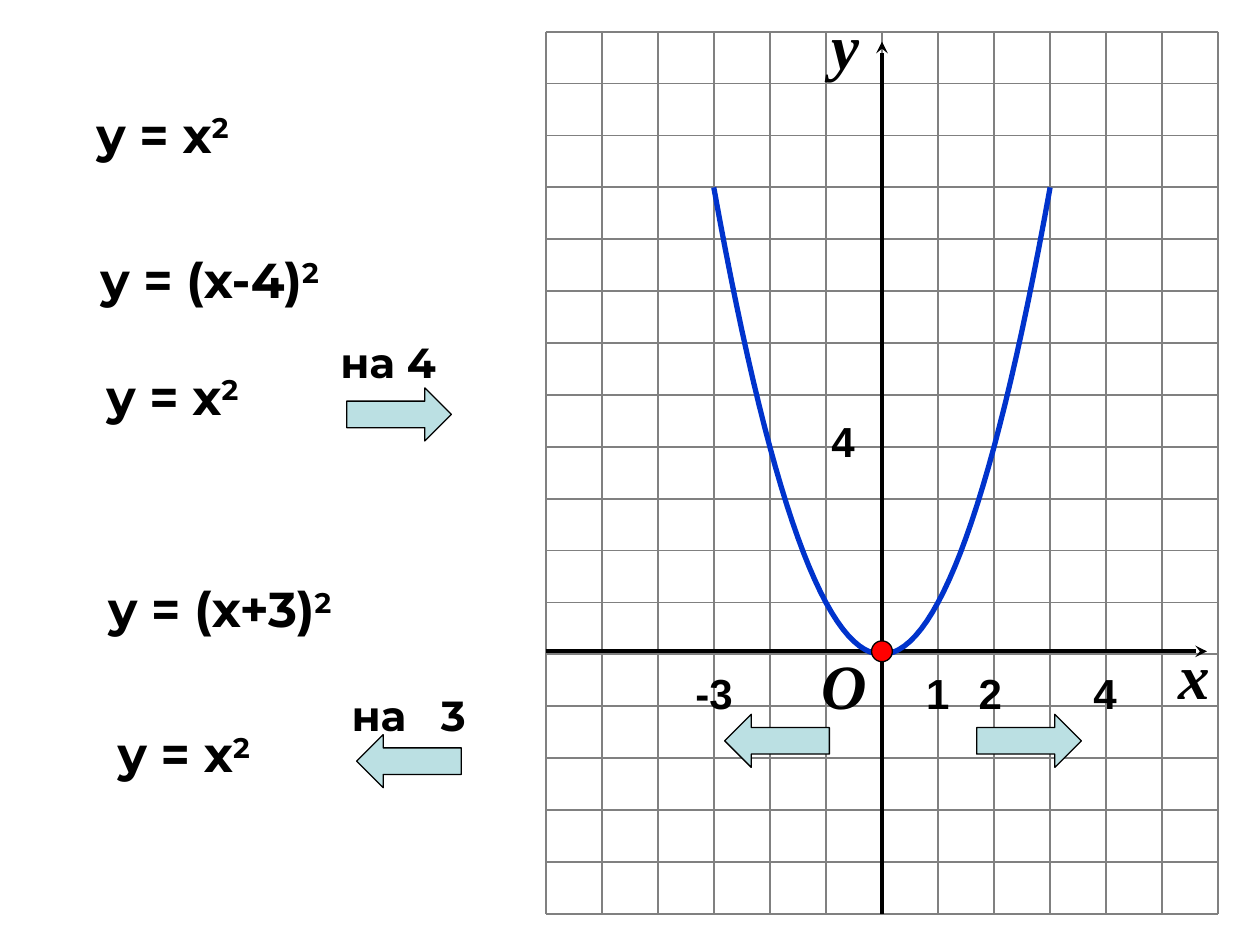
from lxml import etree
from pptx import Presentation
from pptx.dml.color import RGBColor
from pptx.enum import shapes, text
from pptx.oxml import ns
from pptx.util import Cm, Pt

COLORS = {"grid": "808080", "ink": "000000", "curve": "0033CC",
          "vertex": "FF0000", "arrow": "BBE0E3"}

TITLE = ("y = x", (1.27, 1.91, 4.01, 1.57))
FORMULAS = [
    ("y = (x-4)", (1.47, 4.88, 5.51, 1.47)),
    ("y = (x+3)", (1.47, 11.63, 5.92, 1.27)),
    ("y = x", (1.47, 7.19, 4.01, 1.57)),
    ("y = x", (1.7, 14.4, 4.01, 1.57)),
]
SHIFTS = [
    ("на", "4", 0, (5.92, 6.55, 3.81, 1.47)),
    ("на", "3", 13, (6.55, 13.77, 3.38, 1.27)),
]
AXIS_NAMES = [
    ("y", (16.51, 0, 1.07, 1.78)),
    ("x", (23.5, 12.7, 1.14, 1.78)),
    ("O", (16.31, 12.9, 1.42, 1.78)),
]
NUMBERS = [
    ("1", (18.42, 13.34, 0.99, 1.27)),
    ("2", (19.48, 13.34, 0.99, 1.27)),
    ("4", (16.51, 8.26, 0.99, 1.27)),
    ("4", (21.79, 13.34, 0.99, 1.27)),
    ("-3", (13.77, 13.34, 1.27, 1.27)),
]
RIGHT, LEFT = shapes.MSO_SHAPE.RIGHT_ARROW, shapes.MSO_SHAPE.LEFT_ARROW
ARROWS = [(RIGHT, 19.69, 14.4), (LEFT, 14.61, 14.4),
          (RIGHT, 6.99, 7.82), (LEFT, 7.19, 14.81)]
ARROW_SIZE = (2.11, 1.07)

GRID_LEFT, GRID_TOP, GRID_RIGHT, GRID_BOTTOM = 11, 0.64, 24.56, 18.42
COLS, ROWS = 12, 17
CELL_W = (GRID_RIGHT - GRID_LEFT) / COLS
CELL_H = (GRID_BOTTOM - GRID_TOP) / ROWS
ORIGIN_X = GRID_LEFT + 6 * CELL_W
ORIGIN_Y = GRID_TOP + 12 * CELL_H
AXIS_Y = 13.13
VERTEX_D = 0.42
CURVE_REACH, CURVE_STEPS = 3, 60


def color(name):
    return RGBColor.from_string(COLORS[name])


def cm(values):
    return [Cm(v) for v in values]


def add_line(s, start, end, ink, width, arrow=False):
    c = s.shapes.add_connector(shapes.MSO_CONNECTOR.STRAIGHT, *cm(start + end))
    c.line.color.rgb = color(ink)
    c.line.width = Pt(width)
    if arrow:
        etree.SubElement(c.line._get_or_add_ln(), ns.qn("a:tailEnd"), type="stealth")
    etree.SubElement(c._element.spPr, ns.qn("a:effectLst"))


def add_run(p, words, size, font, italic=False):
    r = p.add_run()
    r.text = words
    f = r.font
    f.size, f.name, f.bold, f.italic = Pt(size), font, True, italic
    f.color.rgb = color("ink")
    return r


def center(sp):
    tf = sp.text_frame
    tf.word_wrap = True
    tf.auto_size = text.MSO_AUTO_SIZE.NONE
    tf.vertical_anchor = text.MSO_ANCHOR.MIDDLE
    p = tf.paragraphs[0]
    p.alignment = text.PP_ALIGN.CENTER
    return p


def write_formula(sp, words):
    p = center(sp)
    add_run(p, words, 28, "Montserrat")
    power = add_run(p, "2", 28, "Montserrat")
    power.font._element.set("baseline", "30000")


def add_label(s, words, box, size, font, italic=False):
    tf = s.shapes.add_textbox(*cm(box)).text_frame
    tf.word_wrap = False
    tf.auto_size = text.MSO_AUTO_SIZE.SHAPE_TO_FIT_TEXT
    add_run(tf.paragraphs[0], words, size, font, italic)


def add_filled(s, kind, box, fill):
    sp = s.shapes.add_shape(kind, *cm(box))
    sp.shadow.inherit = False
    sp.fill.solid()
    sp.fill.fore_color.rgb = color(fill)
    sp.line.color.rgb = color("ink")
    sp.line.width = Pt(0.75)


def add_parabola(s):
    xs = [CURVE_REACH * (2 * i / CURVE_STEPS - 1) for i in range(CURVE_STEPS + 1)]
    points = [(Cm(ORIGIN_X + x * CELL_W), Cm(ORIGIN_Y - x * x * CELL_H)) for x in xs]
    builder = s.shapes.build_freeform(*points[0])
    builder.add_line_segments(points[1:], close=False)
    sp = builder.convert_to_shape()
    sp.shadow.inherit = False
    sp.fill.background()
    sp.line.color.rgb = color("curve")
    sp.line.width = Pt(3)


def main():
    prs = Presentation()
    prs.slide_width, prs.slide_height = Cm(25.4), Cm(19.05)
    s = prs.slides.add_slide(prs.slide_layouts[5])

    for i in range(COLS + 1):
        x = GRID_LEFT + i * CELL_W
        add_line(s, (x, GRID_TOP), (x, GRID_BOTTOM), "grid", 1)
    for i in range(ROWS + 1):
        y = GRID_TOP + i * CELL_H
        add_line(s, (GRID_LEFT, y), (GRID_RIGHT, y), "grid", 1)
    add_line(s, (ORIGIN_X, GRID_BOTTOM), (ORIGIN_X, 0.84), "ink", 2.25, True)
    add_line(s, (GRID_LEFT, AXIS_Y), (24.33, AXIS_Y), "ink", 2.25, True)

    for words, box in AXIS_NAMES:
        add_label(s, words, box, 36, "Times New Roman", True)
    for words, box in NUMBERS:
        add_label(s, words, box, 24, "Arial")

    add_parabola(s)
    add_filled(s, shapes.MSO_SHAPE.OVAL,
               (ORIGIN_X - VERTEX_D / 2, AXIS_Y - VERTEX_D / 2, VERTEX_D, VERTEX_D),
               "vertex")
    for kind, x, y in ARROWS:
        add_filled(s, kind, (x, y) + ARROW_SIZE, "arrow")

    title = s.shapes.title
    words, box = TITLE
    title.left, title.top, title.width, title.height = cm(box)
    write_formula(title, words)
    for words, box in FORMULAS:
        write_formula(s.shapes.add_textbox(*cm(box)), words)
    for word, number, gap, box in SHIFTS:
        p = center(s.shapes.add_textbox(*cm(box)))
        add_run(p, word, 24, "Montserrat")
        space = add_run(p, " ", 24, "Montserrat")
        space.font._element.set("spc", str(gap * 100))
        add_run(p, number, 24, "Montserrat")

    prs.save("out.pptx")


if __name__ == "__main__":
    main()
